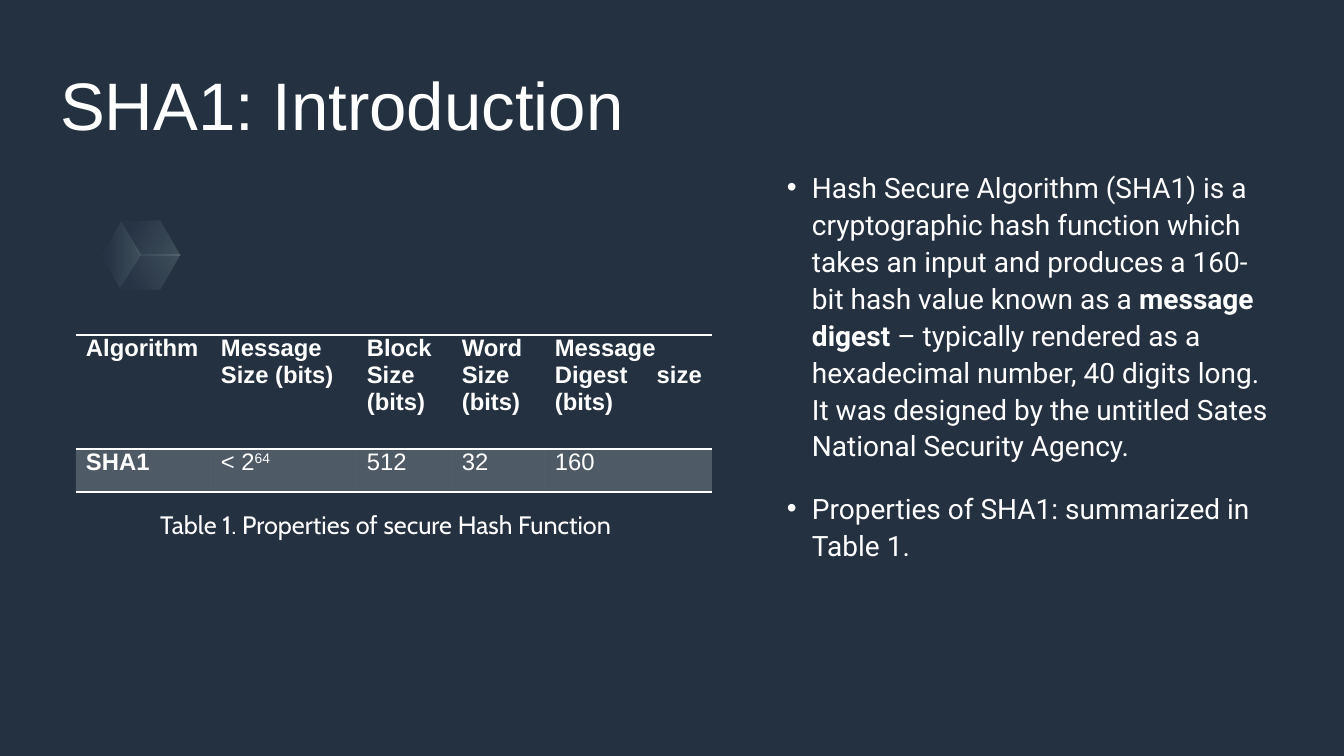
"""Builds the slide that introduces SHA1 with a table of its properties."""
from lxml import etree
from pptx import Presentation, oxml
from pptx import util as u
from pptx.dml.color import RGBColor
from pptx.enum import shapes, text
from pptx.oxml.ns import nsdecls, qn

NAVY = RGBColor(0x24, 0x31, 0x41)
WHITE = RGBColor(0xFF, 0xFF, 0xFF)
SLATE = RGBColor(0x32, 0x44, 0x5A)
MINT = RGBColor(0xB2, 0xCB, 0xC4)

PX = 914400 / 100.8
VEIL = "20000"


def px(length):
    return u.Emu(round(length * PX))


class Deck:
    def __init__(self):
        self.deck = Presentation()
        self.deck.slide_width, self.deck.slide_height = px(1344), px(756)
        self.slide = self.deck.slides.add_slide(self.deck.slide_layouts[1])
        background = self.slide.background.fill
        background.solid()
        background.fore_color.rgb = NAVY

    def backdrop(self, box):
        panel = self.slide.shapes.add_shape(
            shapes.MSO_SHAPE.RECTANGLE, *map(px, box))
        panel.shadow.inherit = False
        panel.fill.solid()
        panel.fill.fore_color.rgb = NAVY
        panel.line.fill.background()
        self.slide.shapes._spTree.insert(2, panel._element)

    def place(self, shape, box):
        shape.left, shape.top, shape.width, shape.height = map(px, box)
        frame = shape.text_frame
        frame.margin_left = frame.margin_right = 0
        frame.margin_top = frame.margin_bottom = 0
        frame.word_wrap = True
        frame.auto_size = text.MSO_AUTO_SIZE.NONE
        frame.vertical_anchor = text.MSO_ANCHOR.TOP
        return frame

    def style(self, paragraph, font, size, bold=False):
        for run in paragraph.runs:
            run.font.name, run.font.size = font, u.Pt(size)
            run.font.bold = bold
            run.font.color.rgb = WHITE

    def title(self, box, wording):
        frame = self.place(self.slide.shapes.title, box)
        frame.text = wording
        heading = frame.paragraphs[0]
        heading.alignment = text.PP_ALIGN.LEFT
        self.style(heading, "Arial", 48)

    def bullets(self, box, items):
        frame = self.place(self.slide.placeholders[1], box)
        for index, pieces in enumerate(items):
            item = frame.paragraphs[0] if index == 0 else frame.add_paragraph()
            for piece in pieces:
                item.add_run().text = piece
            self.style(item, "Roboto", 20)
            for emphasis in item.runs[1::2]:
                emphasis.font.bold = True
            item.line_spacing = 1.1
            item.space_before = u.Pt(18 if index else 0)
            properties = item._p.get_or_add_pPr()
            properties.set("marL", str(px(25)))
            properties.set("indent", str(px(-25)))
            color = etree.SubElement(properties, qn("a:buClr"))
            etree.SubElement(color, qn("a:srgbClr"), val=str(WHITE))
            etree.SubElement(properties, qn("a:buFont"), typeface="Arial")
            etree.SubElement(properties, qn("a:buChar"), char="•")

    def cube(self, faces):
        group = self.slide.shapes.add_group_shape()
        for angle, corners in faces:
            builder = group.shapes.build_freeform(*corners[0], scale=PX)
            builder.add_line_segments(corners[1:], close=True)
            face = builder.convert_to_shape()
            face.shadow.inherit = False
            face.line.fill.background()
            face.fill.background()
            stops = "".join(
                f'<a:gs pos="{position}"><a:srgbClr val="{color}">'
                f'<a:alpha val="{VEIL}"/></a:srgbClr></a:gs>'
                for position, color in ((0, SLATE), (20000, SLATE), (100000, MINT)))
            gradient = oxml.parse_xml(
                f'<a:gradFill {nsdecls("a")}><a:gsLst>{stops}</a:gsLst>'
                f'<a:lin ang="{angle * 60000}" scaled="0"/></a:gradFill>')
            properties = face._element.spPr
            properties.replace(properties.find(qn("a:noFill")), gradient)

    def borders(self, cell, ruled):
        properties = cell._tc.get_or_add_tcPr()
        for index, side in enumerate("LRTB"):
            border = etree.Element(qn(f"a:ln{side}"), w=str(u.Pt(1)))
            if side in ruled:
                fill = etree.SubElement(border, qn("a:solidFill"))
                etree.SubElement(fill, qn("a:srgbClr"), val=str(WHITE))
            else:
                etree.SubElement(border, qn("a:noFill"))
            properties.insert(index, border)

    def table(self, box, widths, heights, rows):
        grid = self.slide.shapes.add_table(
            len(rows), len(widths), *map(px, box)).table
        grid.first_row = grid.horz_banding = False
        for column, width in zip(grid.columns, widths):
            column.width = px(width)
        for row, height in zip(grid.rows, heights):
            row.height = px(height)
        for r, entries in enumerate(rows):
            for c, entry in enumerate(entries):
                cell = grid.cell(r, c)
                cell.margin_left = cell.margin_right = px(10)
                cell.margin_top = cell.margin_bottom = 0
                base, _, power = entry.partition("^")
                cell.text_frame.text = base
                if power:
                    exponent = cell.text_frame.paragraphs[0].add_run()
                    exponent.text = power
                    exponent.font._element.set("baseline", "30000")
                for line in cell.text_frame.paragraphs:
                    line.alignment = text.PP_ALIGN.JUSTIFY
                    self.style(line, "Arial", 17, bold=r == 0 or c == 0)
                if r == 0:
                    cell.fill.background()
                else:
                    cell.fill.solid()
                    cell.fill.fore_color.rgb = WHITE
                    tint = cell._tc.tcPr.find(".//" + qn("a:srgbClr"))
                    etree.SubElement(tint, qn("a:alpha"), val=VEIL)
                self.borders(cell, "TB")

    def caption(self, box, wording):
        frame = self.place(self.slide.shapes.add_textbox(0, 0, 0, 0), box)
        frame.margin_left = frame.margin_right = px(10)
        frame.margin_top = frame.margin_bottom = px(5)
        frame.text = wording
        self.style(frame.paragraphs[0], "Cabin", 18)


def main():
    deck = Deck()
    deck.backdrop((0, 0, 1344, 756))
    deck.title((60, 63, 600, 147), "SHA1: Introduction")

    top_left, top_right, right = (121, 222), (160, 221), (180, 255)
    low_right, low_left, left = (160, 289), (120, 289), (102, 256)
    center = (140, 255)
    deck.cube([
        (30, [top_right, top_left, center, right]),
        (0, [low_left, left, top_left, center]),
        (330, [right, low_right, low_left, center]),
    ])

    deck.bullets((787, 167, 496, 504), [
        ["Hash Secure Algorithm (SHA1) is a cryptographic hash function which "
         "takes an input and produces a 160- bit hash value known as a ",
         "message digest ",
         "– typically rendered as a hexadecimal number, 40 digits long. "
         "It was designed by the untitled Sates National Security Agency."],
        ["Properties of SHA1: summarized in Table 1."],
    ])

    deck.table((76, 335, 636, 157), (135, 146, 95, 93, 167), (114, 43), [
        ("Algorithm", "Message Size (bits)", "Block Size\n(bits)",
         "Word Size (bits)", "Message Digest size (bits)"),
        ("SHA1", "< 2^64", "512", "32", "160"),
    ])
    deck.caption((150, 504, 488, 40), "Table 1. Properties of secure Hash Function")
    deck.deck.save("out.pptx")


if __name__ == "__main__":
    main()
